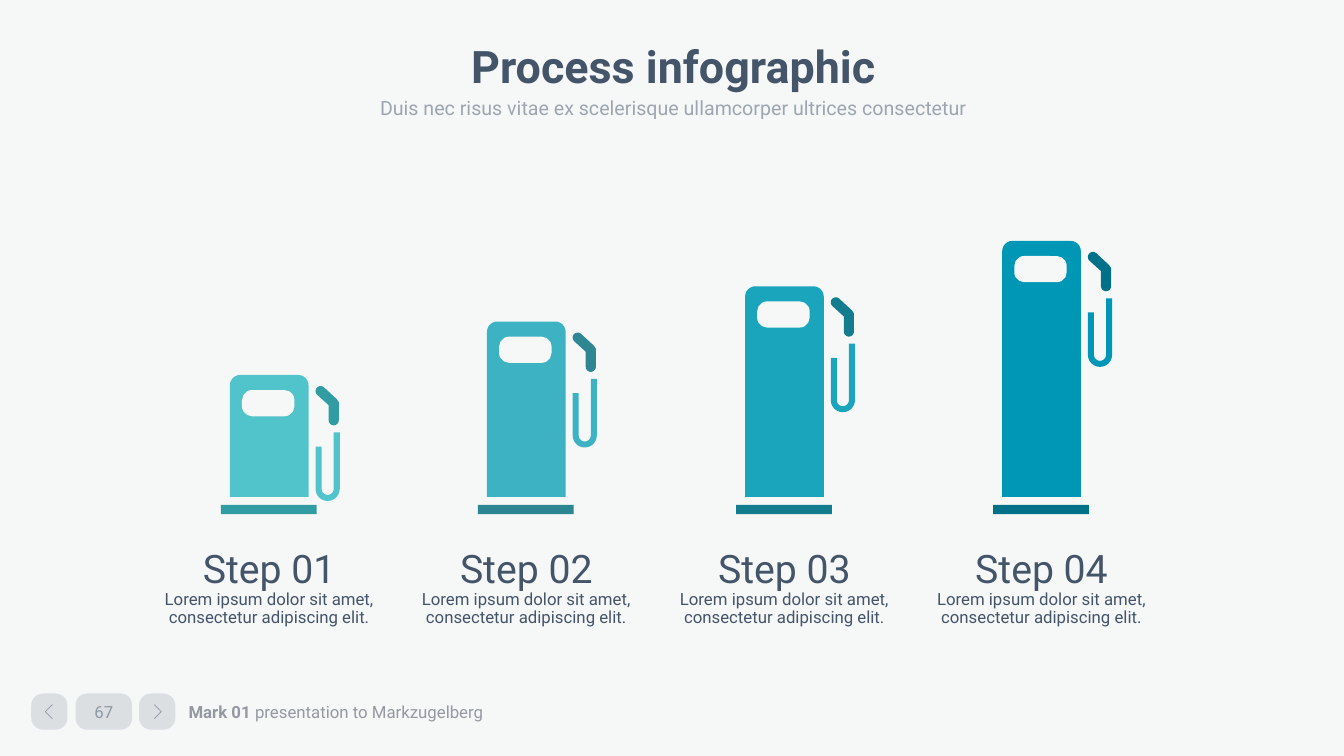
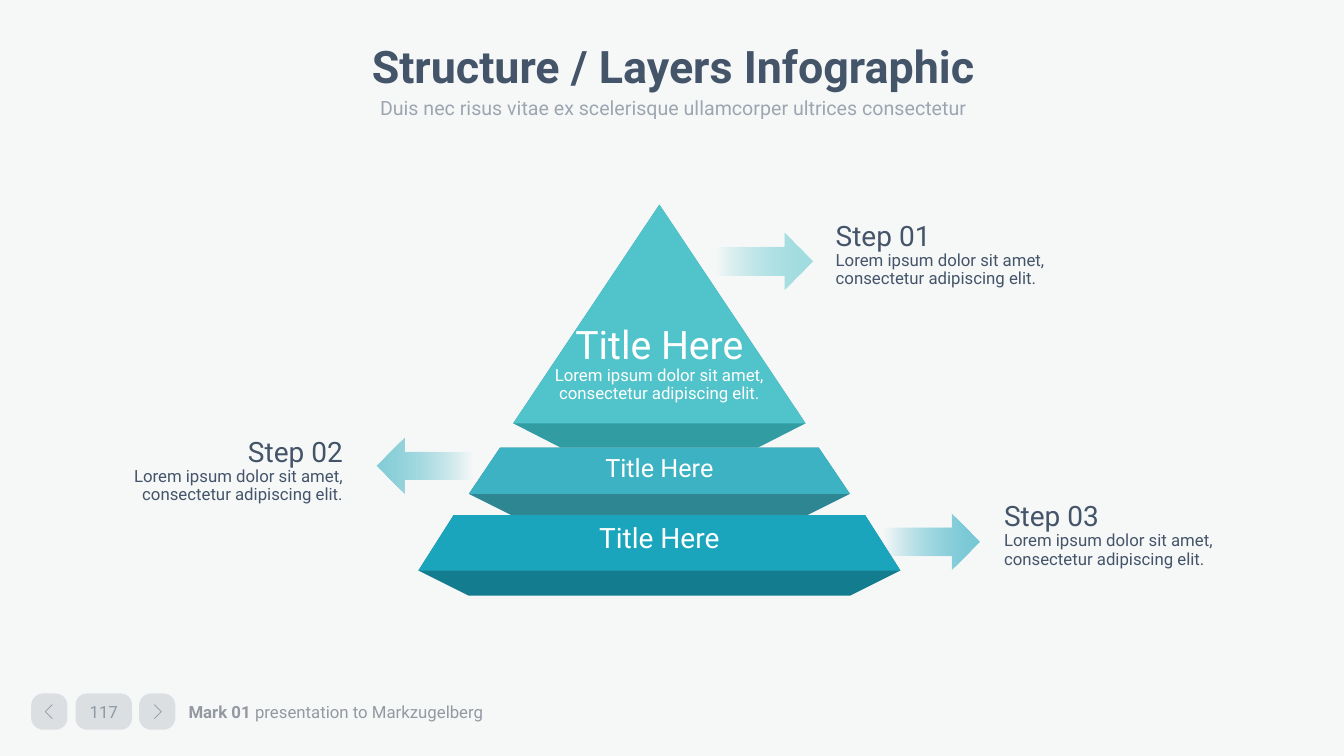
from math import cos, radians, sin

from lxml import etree
from pptx import Presentation
from pptx import util as u
from pptx.dml.color import RGBColor
from pptx.enum import shapes, text
from pptx.oxml.ns import qn

SCALE = 9144
FONT = "Roboto"
PAPER, NAVY, GREY, WHITE = "F6F8F8", "445469", "9499A1", "FFFFFF"
TINTS = [("51C3CA", "329CA3"), ("3CB2C3", "2D8692"),
         ("1AA5BD", "137C8E"), ("0097B7", "007189")]
LOREM = "Lorem ipsum dolor sit amet, consectetur adipiscing elit."
SUB = "Duis nec risus vitae ex scelerisque ullamcorper ultrices consectetur"
KIND = shapes.MSO_SHAPE
ALIGN = text.PP_ALIGN
ANCHOR = text.MSO_ANCHOR


def px(n):
    """Turn px into EMU."""
    return u.Emu(round(n * SCALE))


def hue(tone):
    """Turn a hex string into a colour."""
    return RGBColor.from_string(tone)


def ink(fill, tone):
    """Make a fill solid in one tone."""
    fill.solid()
    fill.fore_color.rgb = hue(tone)


def fade(root, tone, pct):
    """Make a tone inside an element partly transparent."""
    for clr in root.iter(qn("a:srgbClr")):
        if clr.get("val") == tone:
            etree.SubElement(clr, qn("a:alpha")).set("val", str(pct * 1000))


def plain(shape, tone):
    """Give a shape a flat fill with no line or shadow."""
    shape.shadow.inherit = False
    shape.line.fill.background()
    ink(shape.fill, tone)
    return shape


def block(tree, kind, box, tone, *adj):
    """Add a flat preset shape."""
    shape = plain(tree.add_shape(kind, *map(px, box)), tone)
    for i, value in enumerate(adj):
        shape.adjustments[i] = value
    return shape


def trace(tree, pts, close=True):
    """Add a freeform through px points."""
    pts = [(px(x), px(y)) for x, y in pts]
    pen = tree.build_freeform(*pts[0], scale=1.0)
    pen.add_line_segments(pts[1:], close=close)
    return pen.convert_to_shape()


def arc(cx, cy, r, start, end, steps=12):
    """List points along an arc, angles in degrees."""
    turns = [radians(start + (end - start) * i / steps)
             for i in range(steps + 1)]
    return [(cx + r * cos(t), cy + r * sin(t)) for t in turns]


def move(pts, x, y):
    """Shift points to a box corner."""
    return [(x + a, y + b) for a, b in pts]


def style(font, size, tone, bold=False):
    """Set the look of a font."""
    font.name, font.size, font.bold = FONT, u.Pt(size), bold
    ink(font.fill, tone)


def write(shape, words, size, tone, align=ALIGN.CENTER, anchor=ANCHOR.TOP):
    """Write a heading and, after a line break, its small text."""
    frame = shape.text_frame
    frame.text = words
    frame.word_wrap, frame.vertical_anchor = True, anchor
    for i, para in enumerate(frame.paragraphs):
        para.alignment = align
        if i:
            para.line_spacing = 0.9
        for run in para.runs:
            style(run.font, 12 if i else size, tone)
    return frame


def note(tree, box, title, size, align):
    """Place a step heading with its text."""
    area = tree.add_textbox(*map(px, box))
    write(area, f"{title}\n{LOREM}", size, NAVY, align)


def place(holder, box, words, size, bold, gap):
    """Move, fill and format a placeholder."""
    holder.left, holder.top, holder.width, holder.height = map(px, box)
    frame = holder.text_frame
    frame.text = words
    frame.auto_size = text.MSO_AUTO_SIZE.NONE
    para = frame.paragraphs[0]
    props = para._p.get_or_add_pPr()
    props.set("marL", "0")
    props.set("indent", "0")
    etree.SubElement(props, qn("a:buNone"))
    para.alignment, para.line_spacing = ALIGN.CENTER, gap
    para.space_before = u.Pt(0)
    style(para.runs[0].font, size, NAVY, bold)


def head(slide, title):
    """Fill the title and the subtitle."""
    place(slide.shapes.title, (93, 40, 1150, 56), title, 32, True, 0.9)
    body = slide.placeholders[1]
    place(body, (196, 85, 944, 42), SUB, 14, False, 1.2)
    body.text_frame.vertical_anchor = ANCHOR.TOP
    fade(body.text_frame._txBody, NAVY, 50)


def button(tree, x, y, wide, adj):
    """Add one pale footer button."""
    shape = block(tree, KIND.ROUNDED_RECTANGLE, (x, y, wide, 36), NAVY, adj)
    fade(shape._element.spPr, NAVY, 15)
    return shape


def foot(tree, page, x=31, y=688):
    """Draw the pager and the footer line."""
    label = button(tree, x + 44, y, 56, 0.31)
    frame = write(label, page, 12, NAVY, anchor=ANCHOR.MIDDLE)
    frame.margin_left = frame.margin_right = 0
    fade(frame._txBody, NAVY, 50)
    for left, tip, side in ((x, 14, 1), (x + 107, 22, -1)):
        button(tree, left, y, 36, 0.33)
        pts = [(tip + side * 7, 25), (tip, 18), (tip + side * 7, 11)]
        mark = trace(tree, move(pts, left, y), close=False)
        mark.shadow.inherit = False
        mark.fill.background()
        ink(mark.line.fill, NAVY)
        mark.line.width = u.Pt(0.5)
        fade(mark._element.spPr, NAVY, 50)
    area = tree.add_textbox(*map(px, (x + 143, y + 1, 367, 34)))
    frame = area.text_frame
    frame.word_wrap, frame.vertical_anchor = True, ANCHOR.MIDDLE
    frame.margin_left = frame.margin_right = px(13)
    for words, bold in (("Mark 01 ", True),
                        ("presentation to Markzugelberg", False)):
        run = frame.paragraphs[0].add_run()
        run.text = words
        style(run.font, 12, GREY, bold)


def pump(tree, x, top, base, light, dark):
    """Draw a fuel pump standing on its base line."""
    block(tree, KIND.RECTANGLE, (x, base, 95, 9), dark)
    nozzle = (arc(6, 6, 5, 310, 130) + [(14, 20)]
              + arc(19, 35, 5, 180, 0) + [(24, 17), (22, 14)])
    plain(trace(tree, move(nozzle, x + 93, top + 10)), dark)
    hose = ([(18, 0)] + arc(12, 56, 6, 0, 180) + [(6, 14), (0, 14)]
            + arc(12, 56, 12, 180, 0) + [(24, 0)])
    plain(trace(tree, move(hose, x + 94, top + 57)), light)
    block(tree, KIND.ROUND_2_SAME_RECTANGLE,
          (x + 9, top, 78, base - 8 - top), light, 0.13, 0)
    block(tree, KIND.ROUNDED_RECTANGLE, (x + 21, top + 15, 52, 26),
          PAPER, 0.38)


def steps(slide, x=219, base=501):
    """Line up four growing pumps with their notes."""
    tree = slide.shapes
    for i, (top, tints) in enumerate(zip((372, 319, 284, 239), TINTS)):
        left = x + i * 511 // 2
        pump(tree.add_group_shape().shapes, left, top, base, *tints)
        note(tree, (left - 69, base + 34, 234, 94), f"Step 0{i + 1}",
             28, ALIGN.CENTER)


def arrow(tree, x, y, tone, pct, left):
    """Add an arrow that fades out at its tail."""
    kind = KIND.LEFT_ARROW if left else KIND.RIGHT_ARROW
    shape = block(tree, kind, (x, y, 96, 56), tone)
    shape.fill.gradient()
    shape.fill.gradient_angle = 0
    tones = (tone, PAPER) if left else (PAPER, tone)
    for i, (stop, shade) in enumerate(zip(shape.fill.gradient_stops, tones)):
        stop.position = i
        stop.color.rgb = hue(shade)
    fade(shape._element.spPr, tone, pct)


def tier(tree, mid, rows, light, dark):
    """Draw one layer from its top, edge and foot (y, half width) rows."""
    def ring(rows):
        """Outline rows down the right side and up the left."""
        return ([(mid + half, y) for y, half in rows]
                + [(mid - half, y) for y, half in reversed(rows)])
    plain(trace(tree, ring(rows)), dark)
    return plain(trace(tree, ring(rows[:2])), light)


def layers(slide, mid=654):
    """Stack the pyramid and point out its steps."""
    tree = slide.shapes
    marks = [((710, 231), 51, (819, 212)), ((373, 434), 61, (77, 426)),
             ((876, 509), 58, (986, 490))]
    for i, (spot, pct, area) in enumerate(marks):
        left = spot[0] < mid
        arrow(tree, *spot, TINTS[i][0], pct, left)
        note(tree, (*area, 273, 80), f"Step 0{i + 1}", 20,
             ALIGN.RIGHT if left else ALIGN.LEFT)
    stack = [(((203, 0), (420, 145), (444, 98)), 28, f"\n{LOREM}"),
             (((444, 158), (490, 189), (511, 147)), 18, ""),
             (((511, 204), (566, 239), (591, 189)), 20, "")]
    for (rows, size, more), tints in zip(stack, TINTS):
        face = tier(tree.add_group_shape().shapes, mid, rows, *tints)
        frame = write(face, f"Title Here{more}", size, WHITE)
        if more:
            frame.vertical_anchor = ANCHOR.BOTTOM
            frame.margin_bottom = px(20)


def main():
    """Build and save the slides."""
    prs = Presentation()
    prs.slide_width, prs.slide_height = px(1333), px(750)
    ink(prs.slide_master.background.fill, PAPER)
    for title, page, draw in (
            ("Process infographic", "67", steps),
            ("Structure / Layers Infographic", "117", layers)):
        slide = prs.slides.add_slide(prs.slide_layouts[1])
        foot(slide.shapes, page)
        draw(slide)
        head(slide, title)
    prs.save("out.pptx")


if __name__ == "__main__":
    main()
